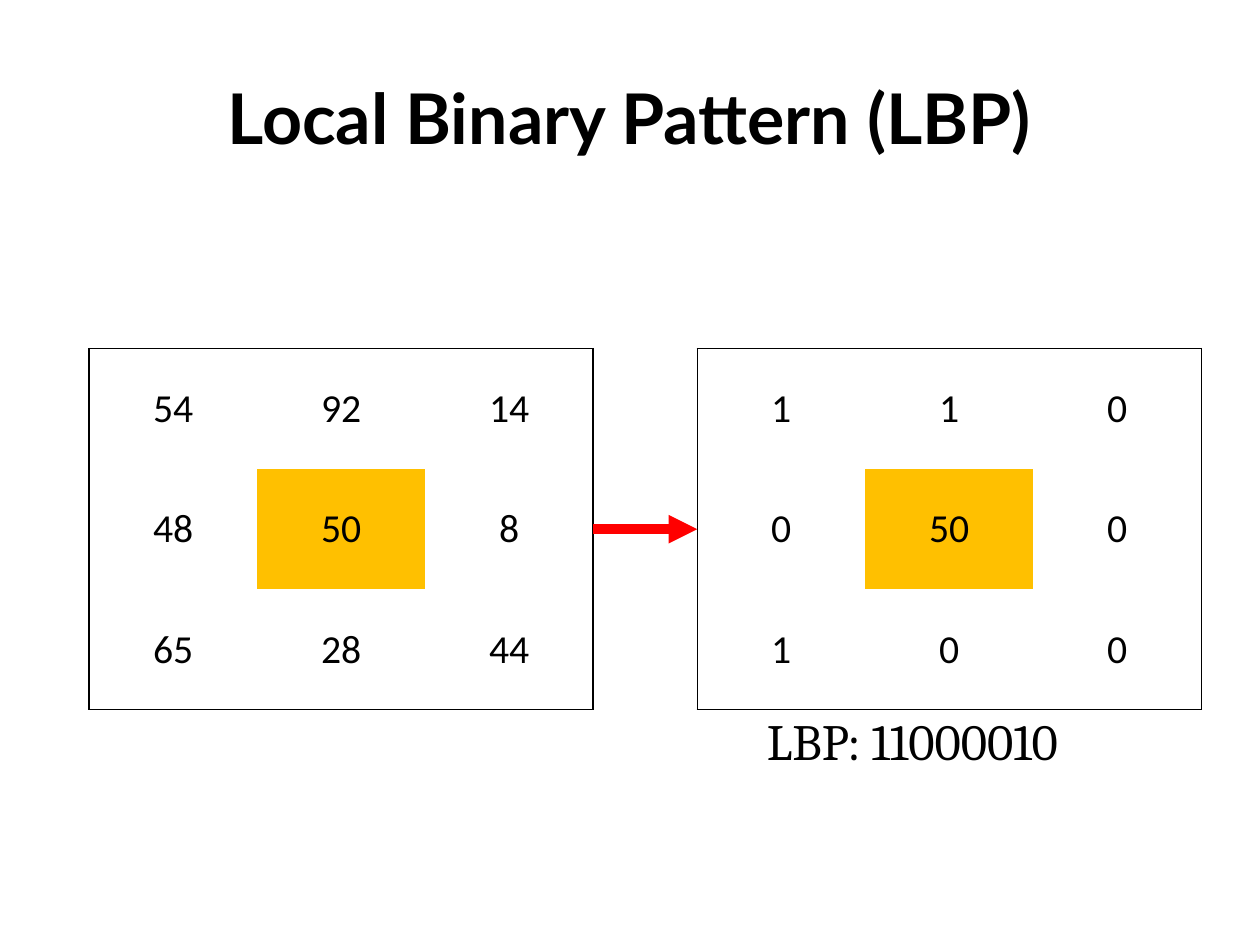
from lxml import etree
from pptx import Presentation
from pptx.dml.color import RGBColor
from pptx.enum.shapes import MSO_CONNECTOR
from pptx.enum.text import MSO_ANCHOR, PP_ALIGN
from pptx.oxml.ns import qn
from pptx.util import Inches, Pt

# Content
TITLE = "Local Binary Pattern (LBP)"
CODE = "LBP: 11000010"
PIXELS = [("54", "92", "14"), ("48", "50", "8"), ("65", "28", "44")]
BITS = [("1", "1", "0"), ("0", "50", "0"), ("1", "0", "0")]

COLORS = {"ink": "000000", "center": "FFC000", "arrow": "FF0000"}

# Layout, in inches; the slide measures 28 by 21 cm
CM_PER_INCH = 2.54
SLIDE_W, SLIDE_H = 28 / CM_PER_INCH, 21 / CM_PER_INCH
PIXELS_X, BITS_X, GRID_Y = 0.78, 6.1, 3.05
GRID_W, GRID_H = 4.41, 3.16
GRID_SIZE = 3


def color(name):
    return RGBColor.from_string(COLORS[name])


def style_text(frame, font, size, align, bold=False):
    paragraph = frame.paragraphs[0]
    paragraph.alignment = align
    run_font = paragraph.runs[0].font
    run_font.name, run_font.size, run_font.bold = font, Pt(size), bold
    run_font.color.rgb = color("ink")


def add_label(slide, text, box, anchor, **style):
    frame = slide.shapes.add_textbox(*map(Inches, box)).text_frame
    frame.word_wrap = True
    frame.margin_left = frame.margin_right = 0
    frame.margin_top = frame.margin_bottom = 0
    frame.vertical_anchor = anchor
    frame.text = text
    style_text(frame, **style)


def set_borders(cell, outer_sides):
    """Draw a 1 pt line on the outer sides and none on the others."""
    properties = cell._tc.get_or_add_tcPr()
    for position, side in enumerate("LRTB"):
        line = etree.Element(qn(f"a:ln{side}"), w=str(Pt(1)))
        if side in outer_sides:
            fill = etree.SubElement(line, qn("a:solidFill"))
            etree.SubElement(fill, qn("a:srgbClr"), val=COLORS["ink"])
        else:
            etree.SubElement(line, qn("a:noFill"))
        properties.insert(position, line)


def add_grid(slide, values, left):
    box = map(Inches, (left, GRID_Y, GRID_W, GRID_H))
    grid = slide.shapes.add_table(GRID_SIZE, GRID_SIZE, *box).table
    grid.first_row = grid.horz_banding = False
    last = GRID_SIZE - 1
    for r, row in enumerate(values):
        for c, value in enumerate(row):
            cell = grid.cell(r, c)
            cell.text = value
            cell.vertical_anchor = MSO_ANCHOR.MIDDLE
            cell.margin_left = cell.margin_right = Inches(0.14)
            cell.margin_top = cell.margin_bottom = Inches(0.07)
            style_text(cell.text_frame, "Calibri", 25, PP_ALIGN.CENTER)
            if r == c == GRID_SIZE // 2:
                cell.fill.solid()
                cell.fill.fore_color.rgb = color("center")
            else:
                cell.fill.background()
            edges = {"L": c == 0, "R": c == last, "T": r == 0, "B": r == last}
            set_borders(cell, [side for side, outer in edges.items() if outer])


def add_arrow(slide, start_x, end_x, y):
    ends = map(Inches, (start_x, y, end_x, y))
    arrow = slide.shapes.add_connector(MSO_CONNECTOR.STRAIGHT, *ends)
    arrow.line.color.rgb = color("arrow")
    arrow.line.width = Pt(6)
    etree.SubElement(arrow.line._get_or_add_ln(), qn("a:tailEnd"), type="triangle")
    etree.SubElement(arrow._element.spPr, qn("a:effectLst"))


def main():
    deck = Presentation()
    deck.slide_width = Inches(SLIDE_W)
    deck.slide_height = Inches(SLIDE_H)
    slide = deck.slides.add_slide(deck.slide_layouts[6])

    # Title
    add_label(slide, TITLE, (0.55, 0.33, 9.92, 1.38), MSO_ANCHOR.MIDDLE,
              font="Lato", size=44, align=PP_ALIGN.CENTER, bold=True)

    # Pixel values and their thresholded bits
    add_grid(slide, PIXELS, PIXELS_X)
    add_grid(slide, BITS, BITS_X)
    add_arrow(slide, PIXELS_X + GRID_W, BITS_X, GRID_Y + GRID_H / 2)

    # Resulting code
    add_label(slide, CODE, (6.71, GRID_Y + GRID_H, 3.18, 0.64), MSO_ANCHOR.TOP,
              font="Cambria", size=32, align=PP_ALIGN.LEFT)

    deck.save("out.pptx")


if __name__ == "__main__":
    main()
